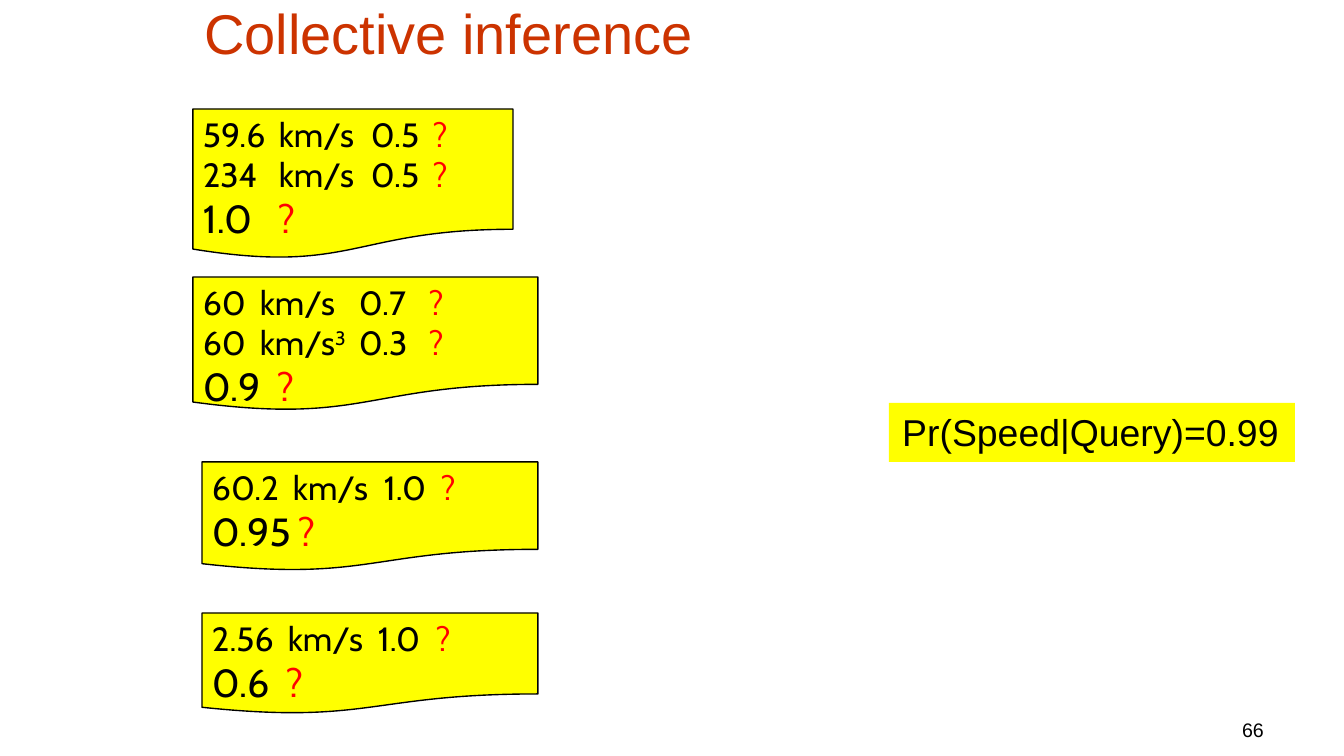
import pptx
import pptx.util
import pptx.dml.color
import pptx.enum.shapes
import pptx.enum.text
import pptx.oxml.ns
import lxml.etree

RGBColor = pptx.dml.color.RGBColor
MSO_SHAPE = pptx.enum.shapes.MSO_SHAPE
PP_ALIGN = pptx.enum.text.PP_ALIGN
MSO_ANCHOR = pptx.enum.text.MSO_ANCHOR

BLACK = RGBColor(0x00, 0x00, 0x00)
RED = RGBColor(0xFF, 0x00, 0x00)
YELLOW = RGBColor(0xFF, 0xFF, 0x00)
RUST = RGBColor(0xCC, 0x33, 0x00)

# Each page: box in px, (value, unit, probability) rows with their tab stops
# in px, then the page score with its tab stop. A "?" closes every line.
# A "^" in a unit starts a superscript.
PAGES = [
    {"box": (193, 109, 320, 150),
     "rows": [("59.6", "km/s", "0.5"), ("234", "km/s", "0.5")],
     "row_tabs": (76, 168, 230), "score": "1.0", "score_tab": 75},
    {"box": (193, 277, 345, 134),
     "rows": [("60", "km/s", "0.7"), ("60", "km/s^3", "0.3")],
     "row_tabs": (57, 156, 226), "score": "0.9", "score_tab": 74},
    {"box": (202, 462, 336, 109),
     "rows": [("60.2", "km/s", "1.0")],
     "row_tabs": (81, 172, 229), "score": "0.95", "score_tab": 86},
    {"box": (202, 613, 336, 101),
     "rows": [("2.56", "km/s", "1.0")],
     "row_tabs": (76, 166, 224), "score": "0.6", "score_tab": 74},
]
TITLE = ("Collective inference", (191, -8, 900, 76))
ANSWER = ("Pr(Speed|Query)=0.99", (889, 403, 406, 59))
PAGE_NUMBER = ("66", (997, 698, 280, 50))

ROW_FONT = {"name": "Cabin", "size": pptx.util.Pt(18)}
SCORE_FONT = {"name": "Cabin", "size": pptx.util.Pt(21)}


def px(n):
    return pptx.util.Emu(round(n * 914400 / 134.4))


def add_run(p, text, color, font):
    r = p.add_run()
    r.text = text
    for name, value in font.items():
        setattr(r.font, name, value)
    r.font.color.rgb = color
    return r


def add_tabs(p, stops):
    tab_list = lxml.etree.SubElement(p._p.get_or_add_pPr(), pptx.oxml.ns.qn("a:tabLst"))
    for stop in stops:
        lxml.etree.SubElement(tab_list, pptx.oxml.ns.qn("a:tab"), pos=str(px(stop)), algn="l")


def add_line(p, cells, stops, font):
    """Write tab-separated black cells followed by a red question mark."""
    add_tabs(p, stops)
    for cell in cells:
        base, _, power = cell.partition("^")
        add_run(p, base, BLACK, font)
        if power:
            r = add_run(p, power, BLACK, font)
            r._r.get_or_add_rPr().set("baseline", "30000")
        add_run(p, "\t", BLACK, font)
    add_run(p, "?", RED, font)


def add_yellow_shape(slide, kind, box):
    sp = slide.shapes.add_shape(kind, *map(px, box))
    sp.shadow.inherit = False
    sp.fill.solid()
    sp.fill.fore_color.rgb = YELLOW
    return sp


def add_page(slide, page):
    sp = add_yellow_shape(slide, MSO_SHAPE.FLOWCHART_DOCUMENT, page["box"])
    sp.line.color.rgb = BLACK
    sp.line.width = pptx.util.Pt(0.75)
    tf = sp.text_frame
    frame = {"margin_left": px(10), "margin_right": px(10), "margin_top": px(5),
             "margin_bottom": px(5), "word_wrap": True,
             "vertical_anchor": MSO_ANCHOR.TOP}
    for name, value in frame.items():
        setattr(tf, name, value)
    lines = [(row, page["row_tabs"], ROW_FONT) for row in page["rows"]]
    lines.append(((page["score"],), (page["score_tab"],), SCORE_FONT))
    for i, line in enumerate(lines):
        p = tf.paragraphs[0] if i == 0 else tf.add_paragraph()
        p.alignment = PP_ALIGN.LEFT
        add_line(p, *line)


def write(sp, text, size, color, align=PP_ALIGN.LEFT, anchor=MSO_ANCHOR.TOP, wrap=True):
    tf = sp.text_frame
    tf.word_wrap = wrap
    tf.vertical_anchor = anchor
    p = tf.paragraphs[0]
    p.alignment = align
    add_run(p, text, color, {"name": "Arial", "size": pptx.util.Pt(size)})


def main():
    prs = pptx.Presentation()
    prs.slide_width, prs.slide_height = px(1344), px(756)
    slide = prs.slides.add_slide(prs.slide_layouts[6])

    for page in PAGES:
        add_page(slide, page)

    text, box = TITLE
    write(slide.shapes.add_textbox(*map(px, box)), text, 30, RUST)

    text, box = PAGE_NUMBER
    write(slide.shapes.add_textbox(*map(px, box)), text, 10.5, BLACK,
          PP_ALIGN.RIGHT, MSO_ANCHOR.BOTTOM)

    text, box = ANSWER
    sp = add_yellow_shape(slide, MSO_SHAPE.RECTANGLE, box)
    sp.line.fill.background()
    write(sp, text, 20, BLACK, wrap=False)
    sp.text_frame.auto_size = pptx.enum.text.MSO_AUTO_SIZE.SHAPE_TO_FIT_TEXT

    prs.save("out.pptx")


if __name__ == "__main__":
    main()
